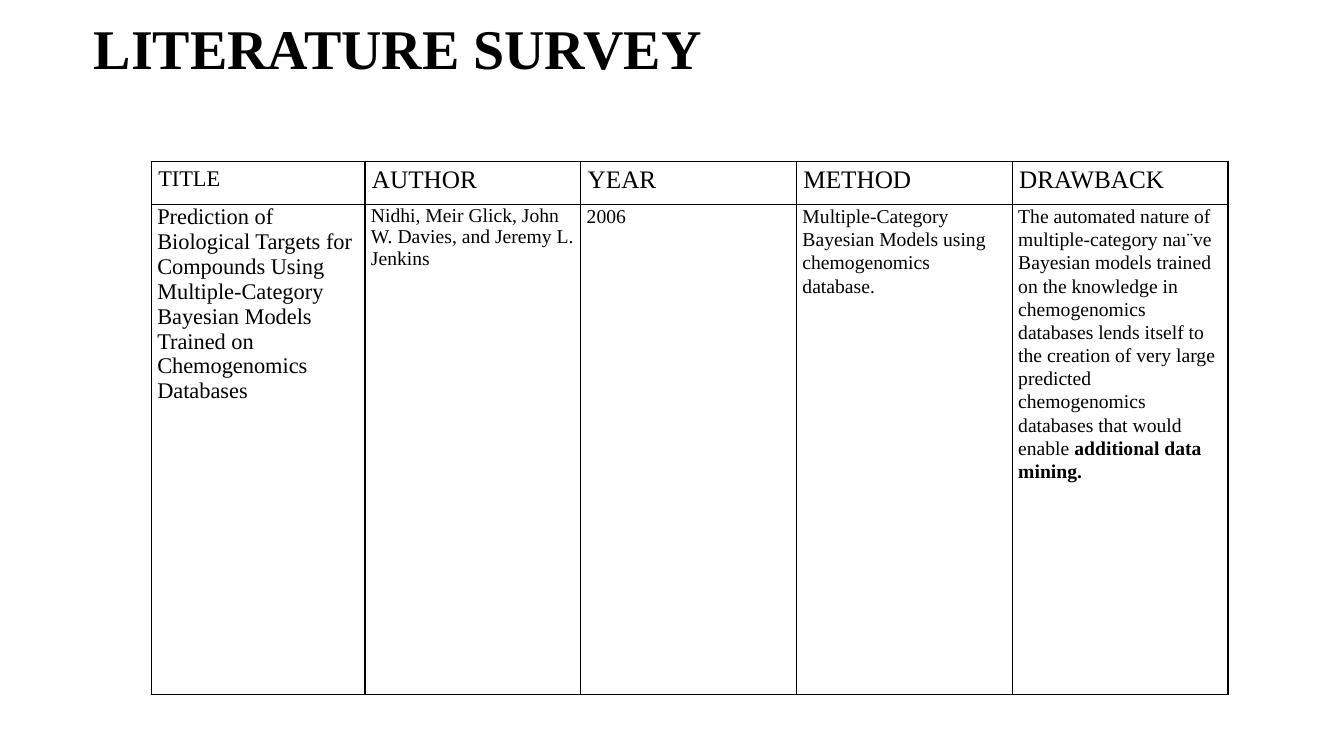
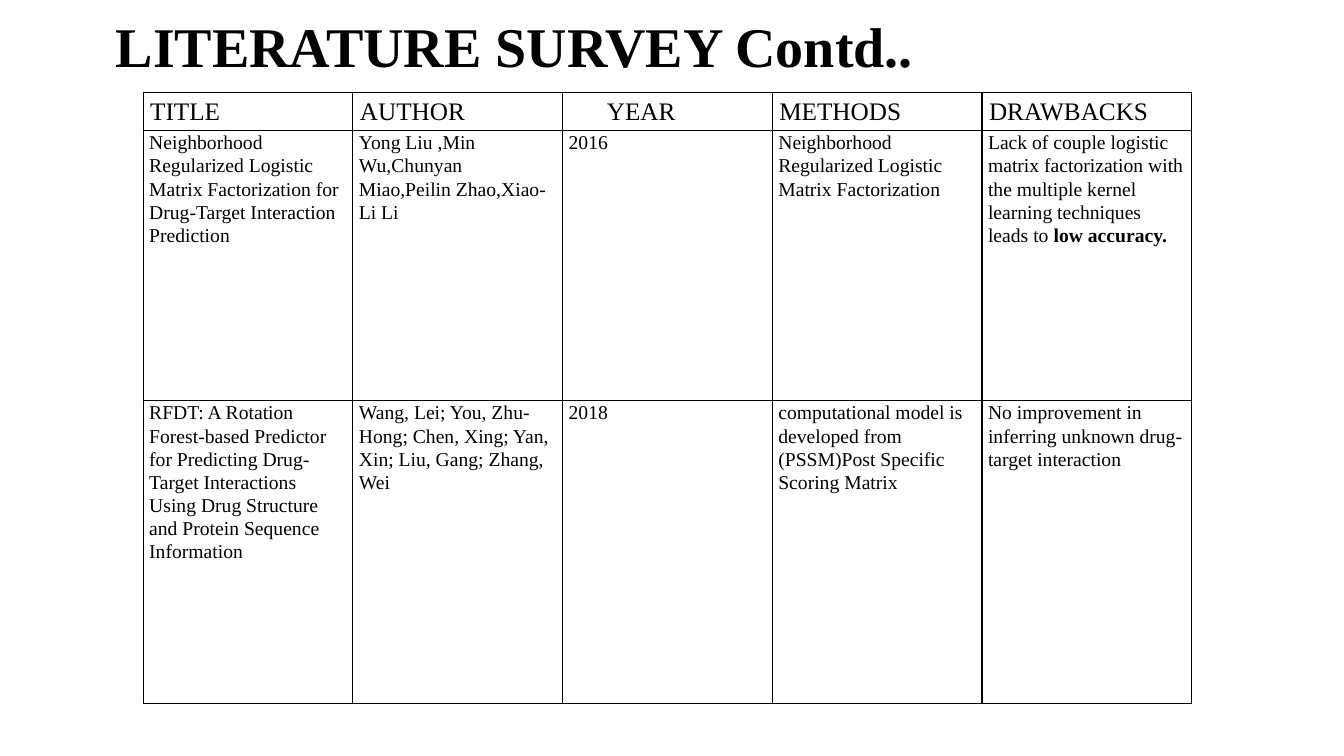
from lxml.etree import SubElement
from pptx import Presentation
from pptx.dml.color import RGBColor
from pptx.enum.text import MSO_ANCHOR, MSO_AUTO_SIZE, PP_ALIGN
from pptx.oxml.ns import qn
from pptx.util import Inches, Pt

BLACK = RGBColor(0x00, 0x00, 0x00)
WHITE = RGBColor(0xFF, 0xFF, 0xFF)
FONT = "Times New Roman"

HEADER = {"size": 18, "spacing": 1.0, "inset": (0.07, 0.05), "indent": 0}
BODY = {"size": 14, "spacing": 1.07, "inset": (0.06, 0), "indent": 0}


class Deck:
    def __init__(self):
        self.prs = Presentation()
        self.prs.slide_width = Inches(13.33)
        self.prs.slide_height = Inches(7.5)
        self.s = None

    def add_slide(self, title, box):
        self.s = self.prs.slides.add_slide(self.prs.slide_layouts[5])
        sp = self.s.shapes.title
        for name, value in zip(("left", "top", "width", "height"), box):
            setattr(sp, name, Inches(value))
        tf = sp.text_frame
        frame = {"word_wrap": True, "auto_size": MSO_AUTO_SIZE.NONE,
                 "vertical_anchor": MSO_ANCHOR.MIDDLE}
        for name, value in frame.items():
            setattr(tf, name, value)
        p = tf.paragraphs[0]
        p.alignment = PP_ALIGN.LEFT
        p.line_spacing = 0.9
        self.add_run(p, title, 40, True)

    def add_run(self, p, text, size, bold=False):
        r = p.add_run()
        r.text = text
        for name, value in {"name": FONT, "size": Pt(size), "bold": bold}.items():
            setattr(r.font, name, value)
        r.font.color.rgb = BLACK

    def add_borders(self, cell):
        tc_pr = cell._tc.get_or_add_tcPr()
        for side in ("lnL", "lnR", "lnT", "lnB"):
            ln = SubElement(tc_pr, qn(f"a:{side}"), w=str(Pt(1)))
            fill = SubElement(ln, qn("a:solidFill"))
            SubElement(fill, qn("a:srgbClr"), val=str(BLACK))

    def fill_cell(self, cell, content, style):
        self.add_borders(cell)
        cell.fill.solid()
        cell.fill.fore_color.rgb = WHITE
        side, end = (Inches(v) for v in style["inset"])
        margins = {"margin_left": side, "margin_right": side,
                   "margin_top": end, "margin_bottom": end}
        for name, value in margins.items():
            setattr(cell, name, value)
        p = cell.text_frame.paragraphs[0]
        p.line_spacing = style["spacing"]
        if style["indent"]:
            p._p.get_or_add_pPr().set("marL", str(Inches(style["indent"])))
        plain, *strong = content if isinstance(content, tuple) else (content,)
        self.add_run(p, plain, style["size"])
        for text in strong:
            self.add_run(p, text, style["size"], True)

    def add_table(self, left, top, widths, heights, rows, special):
        frame = self.s.shapes.add_table(
            len(rows), len(widths), Inches(left), Inches(top),
            Inches(sum(widths)), Inches(sum(heights)))
        table = frame.table
        table.first_row = table.horz_banding = False
        for column, width in zip(table.columns, widths):
            column.width = Inches(width)
        for i, (height, row) in enumerate(zip(heights, rows)):
            table.rows[i].height = Inches(height)
            base = BODY if i else HEADER
            for j, content in enumerate(row):
                style = {**base, **special.get((i, j), {})}
                self.fill_cell(table.cell(i, j), content, style)


def main():
    deck = Deck()

    deck.add_slide("LITERATURE SURVEY", (0.83, 0.07, 10.33, 0.88))
    deck.add_table(
        1.5, 1.6, [2.12] + [2.14] * 4, [0.43, 4.86],
        [
            ["TITLE", "AUTHOR", "YEAR", "METHOD", "DRAWBACK"],
            ["Prediction of Biological Targets for Compounds Using "
             "Multiple-Category Bayesian Models Trained on Chemogenomics Databases",
             "Nidhi, Meir Glick, John W. Davies, and Jeremy L. Jenkins",
             "2006",
             "Multiple-Category Bayesian Models using chemogenomics database.",
             ("The automated nature of multiple-category naı¨ve Bayesian models "
              "trained on the knowledge in chemogenomics databases lends itself to "
              "the creation of very large predicted chemogenomics databases that "
              "would enable ", "additional data mining.")],
        ],
        {(0, 0): {"size": 16}, (1, 0): {"size": 16, "spacing": 1.0},
         (1, 1): {"spacing": 1.0}})

    deck.add_slide("LITERATURE SURVEY Contd..", (1.05, 0.17, 9.05, 0.63))
    deck.add_table(
        1.42, 0.92, [2.08] * 5, [0.37, 2.68, 3],
        [
            ["TITLE", "AUTHOR", "YEAR", "METHODS", "DRAWBACKS"],
            ["Neighborhood Regularized Logistic Matrix Factorization for "
             "Drug-Target Interaction Prediction",
             "Yong Liu ,Min Wu,Chunyan Miao,Peilin Zhao,Xiao-Li Li",
             "2016",
             "Neighborhood Regularized Logistic Matrix Factorization",
             ("Lack of couple logistic matrix factorization with the multiple "
              "kernel learning techniques leads to ", "low accuracy.")],
            ["RFDT: A Rotation Forest-based Predictor for Predicting Drug-Target "
             "Interactions Using Drug Structure and Protein Sequence Information",
             "Wang, Lei; You, Zhu-Hong; Chen, Xing; Yan, Xin; Liu, Gang; Zhang, Wei",
             "2018",
             "computational model is developed from (PSSM)Post Specific Scoring Matrix",
             "No improvement in inferring unknown drug-target interaction"],
        ],
        {(0, 2): {"indent": 0.37}})

    deck.prs.save("out.pptx")


if __name__ == "__main__":
    main()
